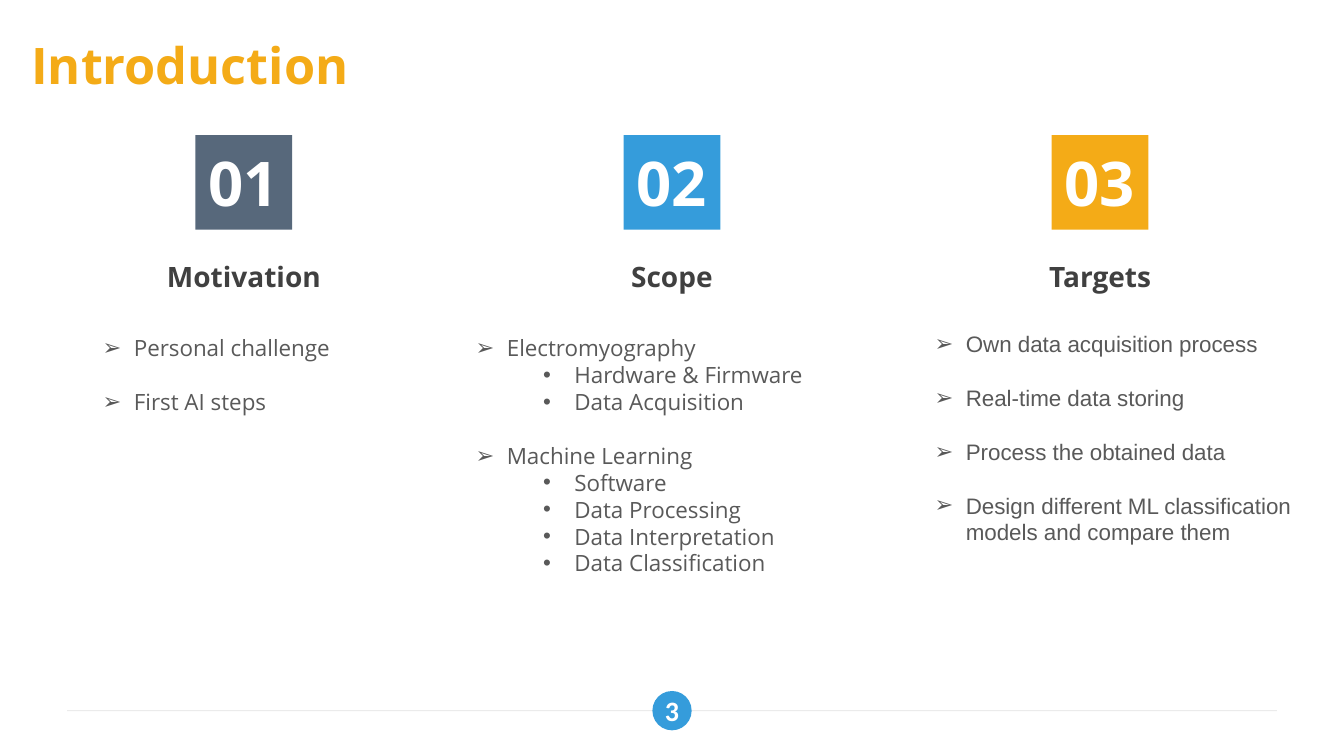
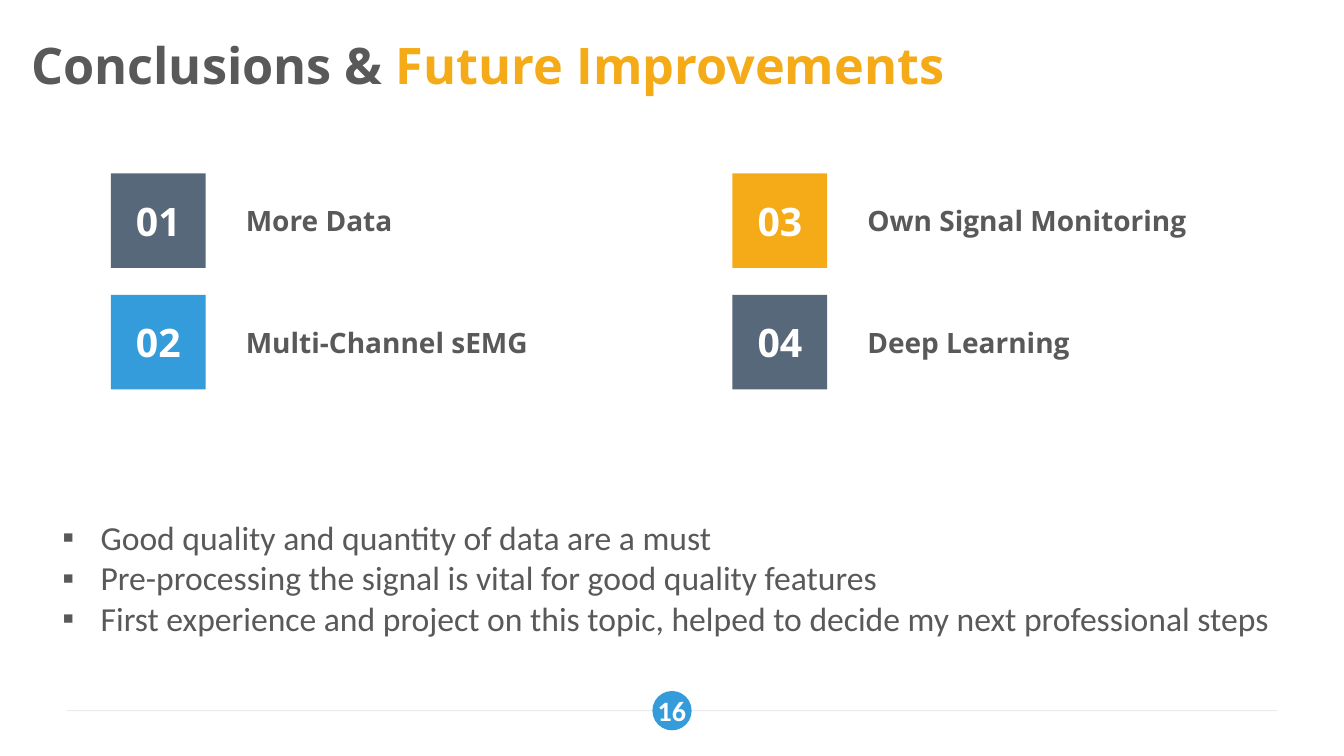
from dataclasses import dataclass

from lxml.etree import SubElement
from pptx import Presentation
from pptx.dml.color import RGBColor
from pptx.enum.shapes import MSO_CONNECTOR as Connector, MSO_SHAPE as Preset
from pptx.enum.text import MSO_ANCHOR as Anchor, MSO_AUTO_SIZE as AutoSize, PP_ALIGN as Align
from pptx.oxml.ns import qn
from pptx.util import Inches, Pt

SLIDE_W, SLIDE_H = Inches(13.33), Inches(7.5)
COLUMNS = ROWS = 100
COLORS = {
    "slate": "57687B", "blue": "359CDB", "amber": "F4AB17", "white": "FFFFFF",
    "heading": "404040", "body": "595959", "rule": "D9D9D9",
}
HEAD_FONT, NOTE_FONT, PLAIN_FONT = "Open Sans", "Calibri", "Arial"
LINE_FACTOR = 1.2
FOOTER_ROW = 94


@dataclass
class Box:
    """A region measured in columns and rows of the slide grid."""
    left: float
    top: float
    width: float
    height: float

    def emu(self):
        return (col(self.left), row(self.top), col(self.width), row(self.height))

    def inner(self, left, top, width, height):
        return Box(self.left + left, self.top + top, width, height)


@dataclass
class Bullet:
    char: str
    margin: float
    hanging: float


ARROW = Bullet("➢", 0.31, 0.31)
DOT = Bullet("•", 0.98, 0.31)
SQUARE = Bullet("▪", 0.38, 0.38)


def col(count):
    return int(SLIDE_W * count / COLUMNS)


def row(count):
    return int(SLIDE_H * count / ROWS)


def rgb(name):
    return RGBColor.from_string(COLORS[name])


def centered(column, line, width, height):
    return Box(column - width / 2, line - height / 2, width, height)


def add_span(para, text, size, color, font=HEAD_FONT, bold=True):
    span = para.add_run()
    span.text = text
    span.font.name, span.font.size, span.font.bold = font, Pt(size), bold
    span.font.color.rgb = rgb(color)


def add_label(page, box, text, size, color, align=Align.CENTER, anchor=Anchor.MIDDLE,
              font=HEAD_FONT):
    frame = page.shapes.add_textbox(*box.emu()).text_frame
    frame.word_wrap, frame.vertical_anchor = True, anchor
    para = frame.paragraphs[0]
    para.alignment = align
    add_span(para, text, size, color, font)


def add_filled(page, preset, box, color):
    shape = page.shapes.add_shape(preset, *box.emu())
    shape.shadow.inherit = False
    shape.fill.solid()
    shape.fill.fore_color.rgb = rgb(color)
    shape.line.fill.background()
    return shape


def add_tile(page, box, number, size, color):
    frame = add_filled(page, Preset.RECTANGLE, box, color).text_frame
    frame.vertical_anchor = Anchor.MIDDLE
    para = frame.paragraphs[0]
    para.alignment = Align.CENTER
    add_span(para, f"{number:02}", size, "white")


def add_list(page, box, items, size, font, group_gap=0):
    """Items are (bullet, text); group_gap precedes each later top-level item."""
    frame = page.shapes.add_textbox(*box.emu()).text_frame
    frame.word_wrap = True
    for index, (bullet, text) in enumerate(items):
        para = frame.add_paragraph() if index else frame.paragraphs[0]
        para.level = int(bullet is DOT)
        props = para._p.get_or_add_pPr()
        props.set("marL", str(Inches(bullet.margin)))
        props.set("indent", str(-Inches(bullet.hanging)))
        SubElement(props, qn("a:buFont"), typeface=PLAIN_FONT)
        SubElement(props, qn("a:buChar"), char=bullet.char)
        para.line_spacing = Pt(size * LINE_FACTOR)
        if index and bullet is not DOT:
            para.space_before = Pt(group_gap)
        add_span(para, text, size, "body", font, bold=False)


def move_footer_to_layout(page):
    """Draw the footer rule and disc, then hand them to the layout all slides share."""
    layout = page.slide_layout
    for holder in list(layout.placeholders):
        if holder.placeholder_format.idx:
            holder.element.getparent().remove(holder.element)
    rule = page.shapes.add_connector(
        Connector.STRAIGHT, col(5), row(FOOTER_ROW), col(95), row(FOOTER_ROW))
    rule.line.width = Pt(0.75)
    rule.line.color.rgb = rgb("rule")
    SubElement(rule.element.find(".//" + qn("a:srgbClr")), qn("a:alpha"), val="50000")
    SubElement(rule.element.spPr, qn("a:effectLst"))
    disc = add_filled(page, Preset.OVAL, centered(50, FOOTER_ROW, 2.92, 5.2), "blue")
    for shape in (rule, disc):
        layout.shapes.element.append(shape.element)


def start_page(deck, number, title_spans):
    page = deck.slides.add_slide(deck.slide_layouts[5])
    if len(deck.slides) == 1:
        move_footer_to_layout(page)
    title = page.shapes.title
    title.left, title.top, title.width, title.height = Box(1.35, 3.33, 90, 10.4).emu()
    frame = title.text_frame
    frame.auto_size, frame.vertical_anchor = AutoSize.NONE, Anchor.MIDDLE
    frame.margin_left = frame.margin_right = Inches(0.13)
    frame.margin_top = frame.margin_bottom = Inches(0.07)
    para = frame.paragraphs[0]
    para.alignment = Align.LEFT
    for text, color in title_spans:
        add_span(para, text, 36, color)
    add_label(page, centered(50, FOOTER_ROW, 4.2, 5.87), str(number), 20, "white",
              font=NOTE_FONT)
    return page


def add_topic(page, box, number, color, heading):
    """Numbered tile over a heading, both centred in the box."""
    tile_width = 7.2
    tile = box.inner((box.width - tile_width) / 2, 0, tile_width, 12.5)
    add_tile(page, tile, number, 44, color)
    add_label(page, box.inner(0, 15.86, box.width, 5.87), heading, 20, "heading",
              anchor=Anchor.TOP)


def add_improvement(page, box, number, color, text):
    """Numbered tile with its label to the right."""
    add_tile(page, box.inner(0, 0, 7.05, box.height), number, 28, color)
    label_left = 9.3
    add_label(page, box.inner(label_left, 0, box.width - label_left, box.height),
              text, 20, "body", Align.LEFT)


def build_introduction(deck):
    page = start_page(deck, 3, [("Introduction", "amber")])
    topics = [
        ("slate", "Motivation", Box(6.9, 43.6, 22.4, 15.7), HEAD_FONT, [
            (ARROW, "Personal challenge"),
            (ARROW, "First AI steps")]),
        ("blue", "Scope", Box(34.65, 43.6, 30.7, 33.6), HEAD_FONT, [
            (ARROW, "Electromyography"),
            (DOT, "Hardware & Firmware"),
            (DOT, "Data Acquisition"),
            (ARROW, "Machine Learning"),
            (DOT, "Software"),
            (DOT, "Data Processing"),
            (DOT, "Data Interpretation"),
            (DOT, "Data Classification")]),
        ("amber", "Targets", Box(68.8, 43.07, 28.5, 30.1), PLAIN_FONT, [
            (ARROW, "Own data acquisition process"),
            (ARROW, "Real-time data storing"),
            (ARROW, "Process the obtained data"),
            (ARROW, "Design different ML classification models and compare them")]),
    ]
    size = 16
    for index, (color, heading, list_box, font, items) in enumerate(topics):
        topic_box = Box(6.95 + 31.85 * index, 17.87, 22.4, 21.73)
        add_topic(page, topic_box, index + 1, color, heading)
        add_list(page, list_box, items, size, font, group_gap=size * LINE_FACTOR)


def build_conclusions(deck):
    page = start_page(deck, 16, [("Conclusions &", "body"),
                                 (" Future Improvements", "amber")])
    add_list(page, Box(3.9, 67.73, 92.1, 17.5), [
        (SQUARE, "Good quality and quantity of data are a must"),
        (SQUARE, "Pre-processing the signal is vital for good quality features"),
        (SQUARE, "First experience and project on this topic, "
                 "helped to decide my next professional steps"),
    ], 24, NOTE_FONT)
    improvements = [("slate", "More Data"), ("blue", "Multi-Channel sEMG"),
                    ("amber", "Own Signal Monitoring"), ("slate", "Deep Learning")]
    for index, (color, text) in enumerate(improvements):
        across, down = divmod(index, 2)
        box = Box(8.25 + 46.25 * across, 22.93 + 16.07 * down, 37.2, 12.5)
        add_improvement(page, box, index + 1, color, text)


def main():
    deck = Presentation()
    deck.slide_width, deck.slide_height = SLIDE_W, SLIDE_H
    build_introduction(deck)
    build_conclusions(deck)
    deck.save("out.pptx")


if __name__ == "__main__":
    main()
